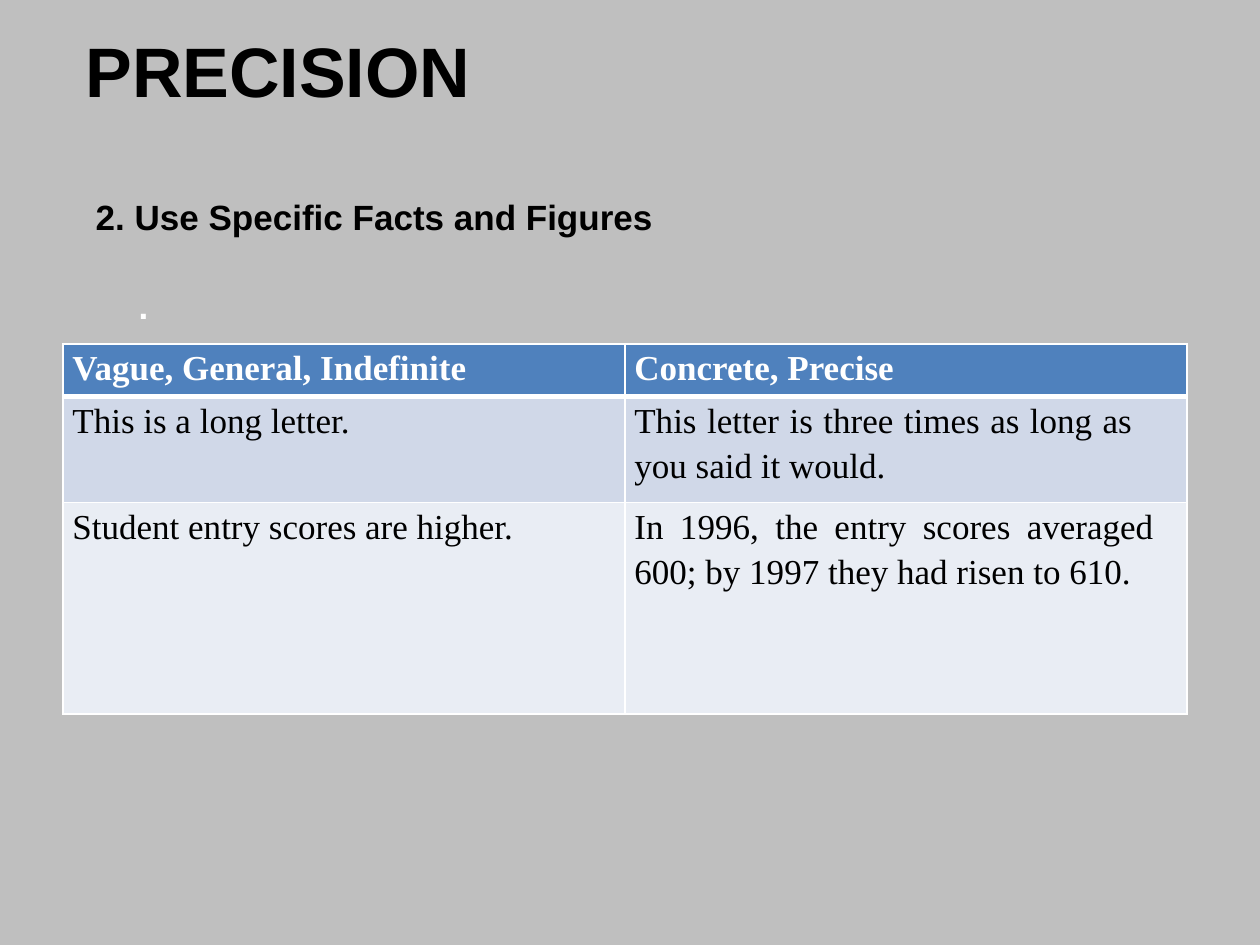
from lxml.etree import SubElement
from pptx import Presentation
from pptx.dml.color import RGBColor
from pptx.enum.text import MSO_ANCHOR as Anchor, MSO_AUTO_SIZE as AutoSize, PP_ALIGN as Align
from pptx.oxml.ns import qn
from pptx.util import Pt

BLACK, WHITE = "000000", "FFFFFF"
HEADER_FILL = "4F81BD"
BAND_FILLS = ["D0D8E8", "E9EDF4"]

# Each cell holds its text and its right margin in points
ROWS = [
    [("Vague, General, Indefinite", 5), ("Concrete, Precise", 5)],
    [("This is a long letter.", 5),
     ("This letter is three times as long as you said it would.", 31)],
    [("Student entry scores are higher.", 5),
     ("In 1996, the entry scores averaged 600; by 1997 they had risen to 610.", 19)],
]
ROW_HEIGHTS = [30.24, 60.48, 120.96]
COLUMN_WIDTH = 321.12


def colour(value):
    return RGBColor.from_string(value)


def add_run(para, text, size, font_name, text_colour, bold):
    span = para.add_run()
    span.text = text
    font = span.font
    font.size, font.name, font.bold = Pt(size), font_name, bold
    font.color.rgb = colour(text_colour)


def fill_placeholder(box, place, text, size, text_colour, anchor, left_inset=7.2):
    box.left, box.top, box.width, box.height = [Pt(length) for length in place]
    frame = box.text_frame
    frame.auto_size = AutoSize.NONE
    frame.word_wrap = True
    frame.vertical_anchor = anchor
    frame.margin_left = Pt(left_inset)
    para = frame.paragraphs[0]
    para.alignment = Align.LEFT
    para.space_before = Pt(0)
    # Plain text without a bullet or hanging indent
    properties = para._p.get_or_add_pPr()
    properties.set("marL", "0")
    properties.set("indent", "0")
    SubElement(properties, qn("a:buNone"))
    add_run(para, text, size, "Arial", text_colour, True)


def add_border(cell, side, width):
    line = SubElement(cell._tc.get_or_add_tcPr(), qn(f"a:ln{side}"), w=str(Pt(width)))
    fill = SubElement(line, qn("a:solidFill"))
    SubElement(fill, qn("a:srgbClr"), val=WHITE)


def fill_cell(cell, text, right_margin, row_index):
    is_header = row_index == 0
    cell.margin_left, cell.margin_right = Pt(5.4), Pt(right_margin)
    cell.margin_top = cell.margin_bottom = Pt(0)
    for side in "LRTB":
        header_edge = (is_header and side == "B") or (row_index == 1 and side == "T")
        add_border(cell, side, 3 if header_edge else 1)
    cell.fill.solid()
    cell.fill.fore_color.rgb = colour(
        HEADER_FILL if is_header else BAND_FILLS[(row_index - 1) % 2])
    para = cell.text_frame.paragraphs[0]
    para.alignment = Align.JUSTIFY
    para.line_spacing = 1.15
    add_run(para, text, 20, "Times New Roman", WHITE if is_header else BLACK, is_header)


def add_comparison_table(slide):
    columns = len(ROWS[0])
    table = slide.shapes.add_table(
        len(ROWS), columns, Pt(36), Pt(196.5),
        Pt(COLUMN_WIDTH * columns), Pt(sum(ROW_HEIGHTS))).table
    for column in table.columns:
        column.width = Pt(COLUMN_WIDTH)
    for row_index, (row, height) in enumerate(zip(ROWS, ROW_HEIGHTS)):
        table.rows[row_index].height = Pt(height)
        for column_index, (text, right_margin) in enumerate(row):
            fill_cell(table.cell(row_index, column_index), text, right_margin, row_index)


def main():
    deck = Presentation()
    deck.slide_width, deck.slide_height = Pt(720), Pt(540)
    slide = deck.slides.add_slide(deck.slide_layouts.get_by_name("Two Content"))
    slide.background.fill.solid()
    slide.background.fill.fore_color.rgb = colour("BFBFBF")

    # Title, body and subheading
    title, body, subheading = list(slide.placeholders)[:3]
    fill_placeholder(title, (41.8, -2.2, 585.4, 84.2), "PRECISION", 40, BLACK, Anchor.MIDDLE)
    fill_placeholder(body, (48.2, 159.1, 636.5, 283.7), ".", 20, WHITE, Anchor.TOP, 31)
    fill_placeholder(subheading, (47.5, 105.8, 636.5, 36),
                     "2. Use Specific Facts and Figures", 20, BLACK, Anchor.MIDDLE)

    # Vague and precise wording side by side
    add_comparison_table(slide)
    deck.save("out.pptx")


if __name__ == "__main__":
    main()
